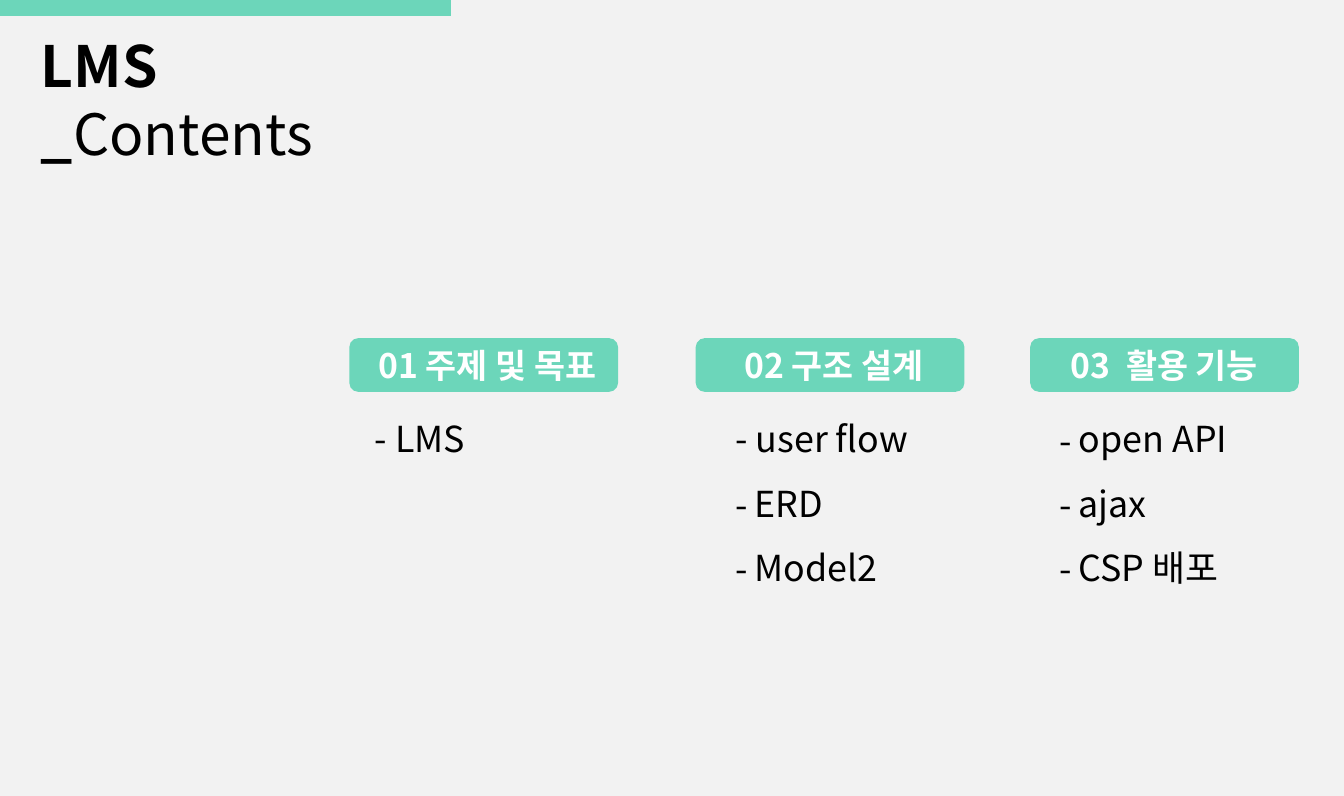
import pptx
import pptx.dml.color
import pptx.enum.shapes
import pptx.enum.text
import pptx.oxml.ns
import pptx.util
from lxml import etree

Cm = pptx.util.Cm
RGBColor = pptx.dml.color.RGBColor
SHAPES = pptx.enum.shapes.MSO_SHAPE

MINT = RGBColor(0x6C, 0xD6, 0xBA)
PALE_GRAY = RGBColor(0xF2, 0xF2, 0xF2)
BLACK = RGBColor(0, 0, 0)
WHITE = RGBColor(0xFF, 0xFF, 0xFF)


class ContentsSlide:
    """Holds the style and the slide being filled."""

    font_name = "Noto Sans CJK KR"
    bullet_indent = Cm(0.65)

    def __init__(self, slide):
        self.slide = slide
        fill = slide.background.fill
        fill.solid()
        fill.fore_color.rgb = PALE_GRAY

    def add_typeface(self, parent, tag):
        etree.SubElement(parent, pptx.oxml.ns.qn(tag)).set("typeface", self.font_name)

    def style_run(self, run, size, color, bold=False):
        run.font.size = pptx.util.Pt(size)
        run.font.bold = bold
        run.font.color.rgb = color
        run.font.name = self.font_name
        self.add_typeface(run.font._element, "a:ea")

    def block(self, kind, left, top, width, height):
        block = self.slide.shapes.add_shape(
            kind, Cm(left), Cm(top), Cm(width), Cm(height))
        block.shadow.inherit = False
        block.fill.solid()
        block.fill.fore_color.rgb = MINT
        block.line.fill.background()
        return block

    def text_frame(self, left, top, width, height):
        box = self.slide.shapes.add_textbox(
            Cm(left), Cm(top), Cm(width), Cm(height))
        box.text_frame.word_wrap = True
        return box.text_frame

    def title(self, bold_part, plain_part, *place):
        paragraph = self.text_frame(*place).paragraphs[0]
        for text, bold in ((bold_part, True), (plain_part, False)):
            run = paragraph.add_run()
            run.text = text
            self.style_run(run, 54, BLACK, bold)

    def heading(self, text, *place):
        frame = self.block(SHAPES.ROUNDED_RECTANGLE, *place).text_frame
        frame.text = text
        frame.vertical_anchor = pptx.enum.text.MSO_ANCHOR.MIDDLE
        paragraph = frame.paragraphs[0]
        paragraph.alignment = pptx.enum.text.PP_ALIGN.CENTER
        self.style_run(paragraph.runs[0], 32, WHITE, bold=True)

    def dash_list(self, topics, *place):
        frame = self.text_frame(*place)
        frame.text = "\n".join(topics)
        for paragraph in frame.paragraphs:
            paragraph.line_spacing = 1.5
            self.style_run(paragraph.runs[0], 34, BLACK)
            if not paragraph.text.startswith("-"):
                self.add_dash(paragraph)

    def add_dash(self, paragraph):
        properties = paragraph._p.get_or_add_pPr()
        properties.set("marL", str(self.bullet_indent))
        properties.set("indent", str(-self.bullet_indent))
        self.add_typeface(properties, "a:buFont")
        dash = etree.SubElement(properties, pptx.oxml.ns.qn("a:buChar"))
        dash.set("char", "-")


def main():
    presentation = pptx.Presentation()
    presentation.slide_width = Cm(45.01)
    presentation.slide_height = Cm(26.67)
    contents = ContentsSlide(
        presentation.slides.add_slide(presentation.slide_layouts[6]))

    # Top bar and title, which wraps after the first word
    contents.block(SHAPES.RECTANGLE, 0, 0, 15.1, 0.53)
    contents.title("LMS _", "Contents", 1.12, 0.91, 12.5, 4.6)

    # Chapters: heading, heading left, list left, topics
    chapters = (
        (" 01 주제 및 목표", 11.7, 12.3, ("- LMS",)),
        (" 02 구조 설계", 23.3, 24.38, ("- user flow", "ERD", "Model2")),
        ("03  활용 기능", 34.5, 35.23, ("open API", "ajax", "CSP 배포")),
    )
    for heading, heading_left, list_left, topics in chapters:
        contents.heading(heading, heading_left, 11.33, 9, 1.8)
        contents.dash_list(topics, list_left, 13.13, 8, 0.25 + 2.15 * len(topics))

    presentation.save("out.pptx")


if __name__ == "__main__":
    main()
